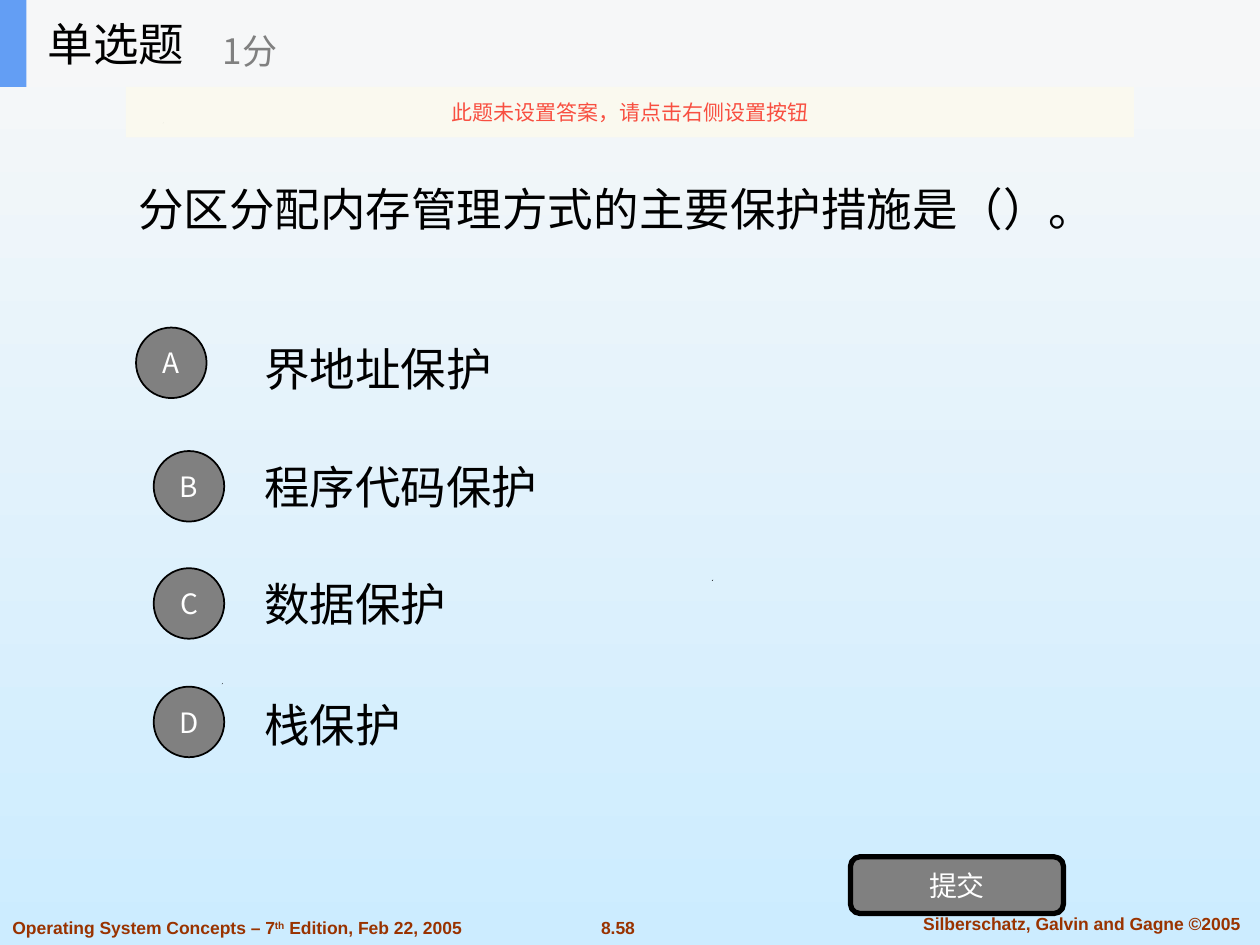
from lxml.etree import SubElement
from pptx import Presentation
from pptx.dml.color import RGBColor
from pptx.enum.shapes import MSO_SHAPE as Preset
from pptx.enum.text import MSO_ANCHOR as Anchor, PP_ALIGN as Align
from pptx.oxml.ns import qn
from pptx.util import Inches, Pt

WIDTH, HEIGHT = Inches(10), Inches(7.5)
COLUMN, ROW = WIDTH / 10, HEIGHT / 7.5
CJK, LATIN = "Noto Sans CJK SC", "Arial"
COLORS = {
    "sky_top": "F8F8F8", "sky_bottom": "CCECFF", "ink": "000000",
    "gray": "808080", "white": "FFFFFF", "footer": "993300",
    "header": "F6F7F8", "accent": "639EF4", "notice": "FBFAEF", "alert": "F84F41",
}
OPTIONS = [
    ("A", "界地址保护", 1.08, 2.6, 2.57),
    ("B", "程序代码保护", 1.22, 3.58, 3.51),
    ("C", "数据保护", 1.22, 4.51, 4.44),
    ("D", "栈保护", 1.22, 5.45, 5.4),
]
SPECKS = [(1.76, 5.42), (1.3, 4.6), (5.65, 4.6), (1.29, 0.97)]


def color(name):
    """Return the named colour."""
    return RGBColor.from_string(COLORS[name])


def place(column, row, columns, rows):
    """Turn grid units into a left, top, width and height."""
    return (round(column * COLUMN), round(row * ROW),
            round(columns * COLUMN), round(rows * ROW))


def write(holder, runs, size, ink, font=CJK, align=Align.LEFT, anchor=Anchor.MIDDLE, wrap=False):
    """Write runs of (text, baseline) as one paragraph."""
    frame = holder.text_frame
    frame.word_wrap = wrap
    frame.vertical_anchor = anchor
    paragraph = frame.paragraphs[0]
    paragraph.alignment = align
    for words, baseline in runs:
        run = paragraph.add_run()
        run.text = words
        run.font.size = Pt(size)
        run.font.name = font
        run.font.bold = font == LATIN
        run.font.color.rgb = color(ink)
        properties = run._r.get_or_add_rPr()
        SubElement(properties, qn("a:ea")).set("typeface", font)
        if baseline:
            properties.set("baseline", str(baseline * 1000))


def add_label(shapes, box, words, size, ink="ink", wrap=False):
    """Add a line of question text."""
    write(shapes.add_textbox(*place(*box)), [(words, 0)], size, ink, wrap=wrap)


def add_footer(shapes, box, runs, align, wrap=False):
    """Add a part of the footer."""
    write(shapes.add_textbox(*place(*box)), runs, 10, "footer", LATIN, align, Anchor.TOP, wrap)


def add_panel(shapes, preset, box, fill, border=0):
    """Add a filled shape, with a border if one is given."""
    panel = shapes.add_shape(preset, *place(*box))
    panel.shadow.inherit = False
    panel.fill.solid()
    panel.fill.fore_color.rgb = color(fill)
    if border:
        panel.line.color.rgb = color("ink")
        panel.line.width = Pt(border)
    else:
        panel.line.fill.background()
    return panel


def add_button(shapes, preset, box, words, border):
    """Add a gray button with centred white words."""
    button = add_panel(shapes, preset, box, "gray", border)
    write(button, [(words, 0)], 16, "white", align=Align.CENTER)


def add_speck(shapes, column, row):
    """Add a tiny dark triangle."""
    left, top, side, _ = place(column, row, 0.01, 0.01)
    builder = shapes.build_freeform(left, top + side)
    builder.add_line_segments([(left + side, top), (left + side // 2, top + side)])
    speck = builder.convert_to_shape()
    speck.shadow.inherit = False
    speck.fill.solid()
    speck.fill.fore_color.rgb = color("ink")
    speck.line.fill.background()


def add_header(shapes):
    """Add the grouped bar with question type and score."""
    header = shapes.add_group_shape().shapes
    add_panel(header, Preset.RECTANGLE, (0, 0, 10, 0.69), "header")
    add_panel(header, Preset.RECTANGLE, (0, 0, 0.21, 0.69), "accent")
    add_label(header, (0.28, 0, 2.08, 0.69), "单选题", 26)
    add_label(header, (1.67, 0.12, 2.5, 0.56), "1分", 20, "gray")


def add_notice(shapes):
    """Add the translucent notice under the header."""
    notice = add_panel(shapes, Preset.RECTANGLE, (1, 0.69, 8, 0.4), "notice")
    tint = notice._element.spPr.find(qn("a:solidFill"))[0]
    SubElement(tint, qn("a:alpha")).set("val", "90000")
    write(notice, [("此题未设置答案，请点击右侧设置按钮", 0)], 12, "alert", align=Align.CENTER)


def paint_background(slide):
    """Fill the background from top to bottom."""
    fill = slide.background.fill
    fill.gradient()
    fill.gradient_angle = 270
    for stop, name in zip(fill.gradient_stops, ("sky_top", "sky_bottom")):
        stop.color.rgb = color(name)


def main():
    """Build and save the quiz slide."""
    deck = Presentation()
    deck.slide_width, deck.slide_height = WIDTH, HEIGHT
    slide = deck.slides.add_slide(deck.slide_layouts[6])
    shapes = slide.shapes
    paint_background(slide)
    add_footer(shapes, (4.64, 7.23, 0.53, 0.27), [("8.58", 0)], Align.CENTER)
    add_footer(shapes, (7.1, 7.2, 2.97, 0.27),
               [("Silberschatz, Galvin and Gagne ©2005", 0)], Align.CENTER, wrap=True)
    add_footer(shapes, (0, 7.23, 4.21, 0.27),
               [("Operating System Concepts – 7", 0), ("th", 30),
                (" Edition, Feb 22, 2005", 0)], Align.LEFT)
    for column, row in SPECKS:
        add_speck(shapes, column, row)
    add_label(shapes, (1, 0.87, 8, 1.57), "分区分配内存管理方式的主要保护措施是（）。", 26, wrap=True)
    for _, answer, _, _, row in OPTIONS:
        add_label(shapes, (2, row, 7, 0.7), answer, 26, wrap=True)
    for letter, _, column, row, _ in OPTIONS:
        add_button(shapes, Preset.OVAL, (column, row, 0.56, 0.56), letter, 1)
    add_button(shapes, Preset.ROUNDED_RECTANGLE, (6.75, 6.8, 1.69, 0.45), "提交", 3)
    add_header(shapes)
    add_notice(shapes)
    deck.save("out.pptx")


if __name__ == "__main__":
    main()
